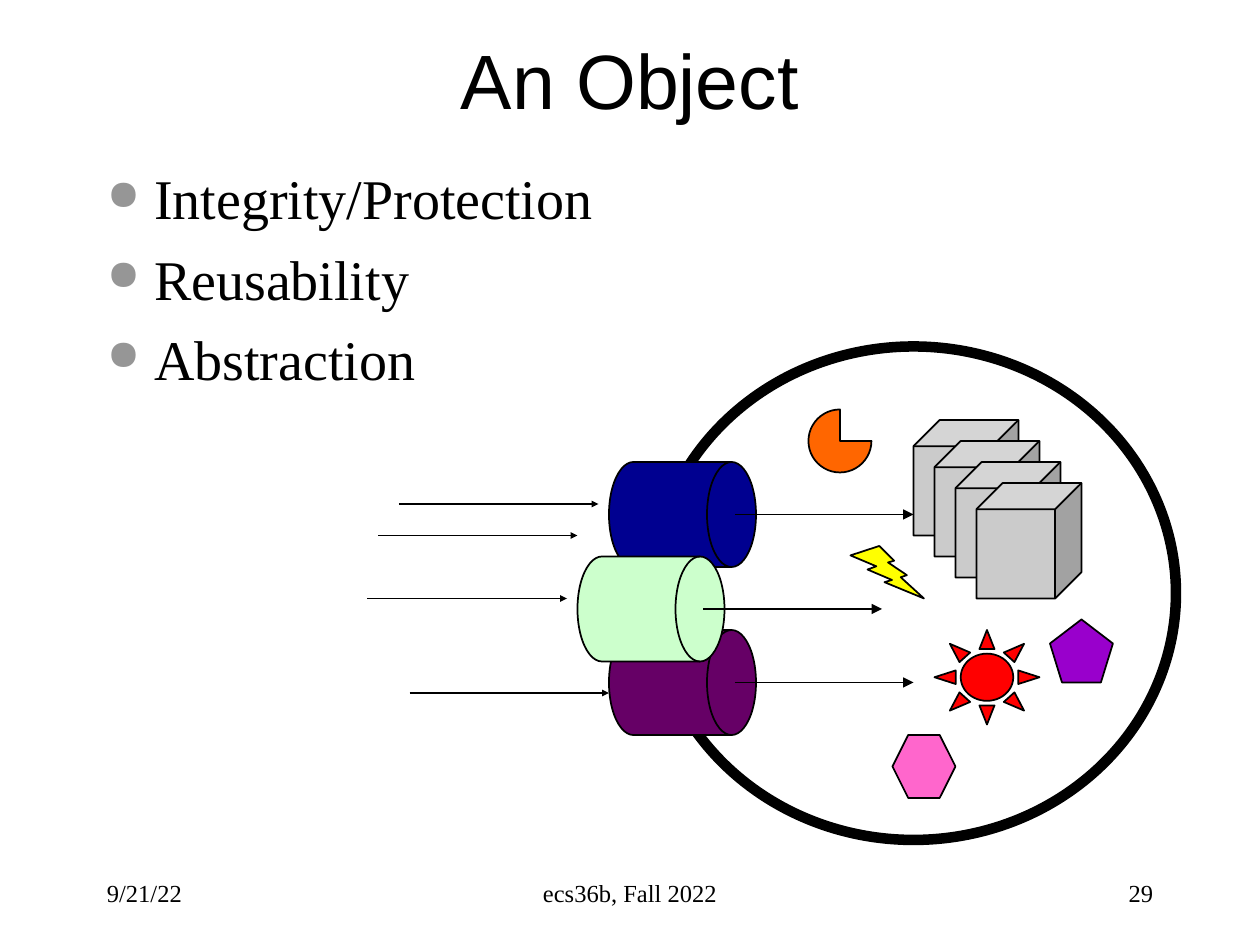
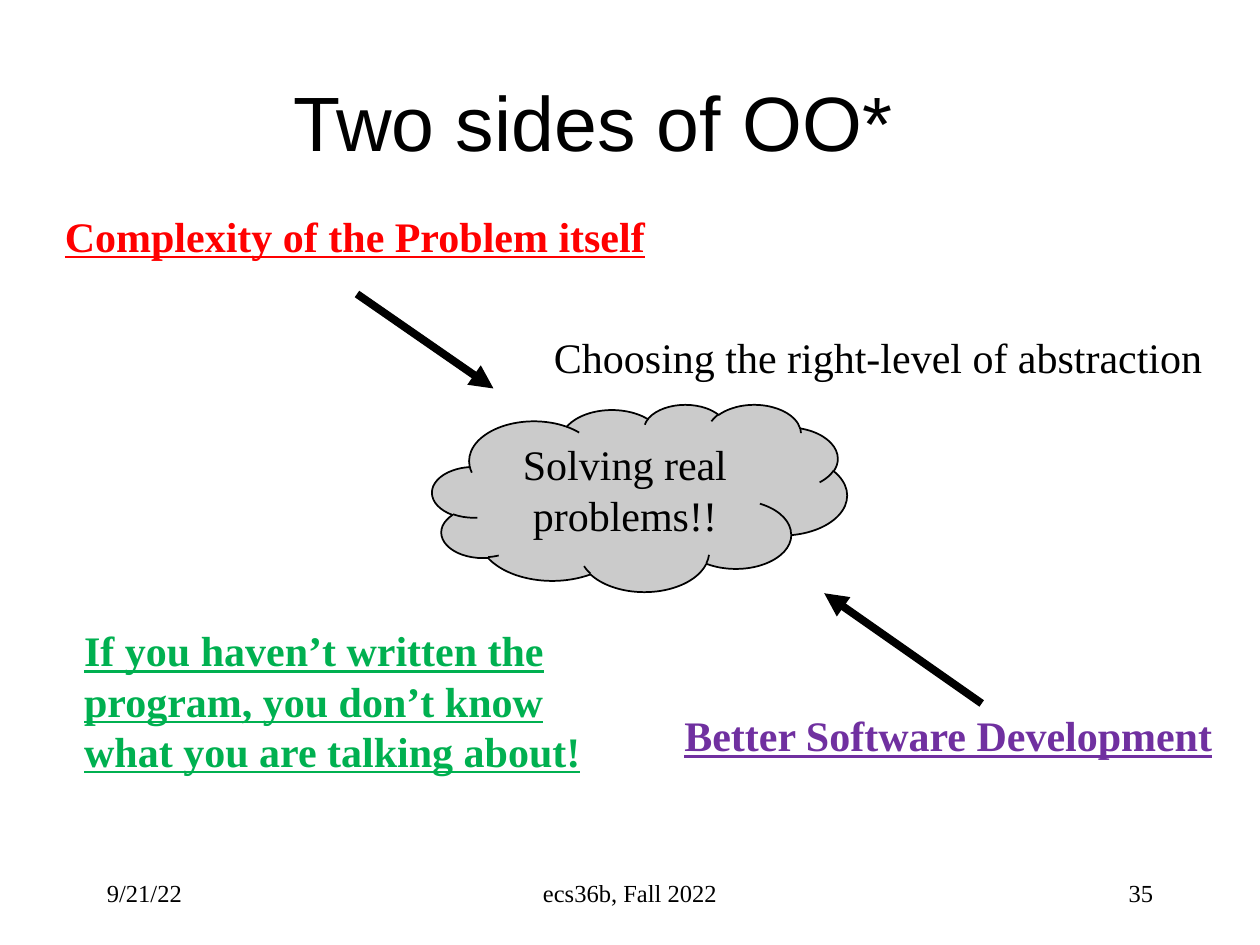
from lxml.etree import SubElement
from pptx import Presentation
from pptx.dml.color import RGBColor
from pptx.enum.shapes import MSO_CONNECTOR, MSO_SHAPE as Preset
from pptx.enum.text import MSO_ANCHOR as Anchor, MSO_AUTO_SIZE as AutoSize, PP_ALIGN as Align
from pptx.oxml.ns import qn
from pptx.util import Pt

TITLE_FONT = "Arial"
TEXT_FONT = "Times New Roman"

BLACK = RGBColor(0x00, 0x00, 0x00)
GREY = RGBColor(0xCB, 0xCB, 0xCB)
BULLET_GREY = RGBColor(0x96, 0x96, 0x96)
NAVY = RGBColor(0x00, 0x00, 0x90)
PLUM = RGBColor(0x66, 0x00, 0x66)
MINT = RGBColor(0xCC, 0xFF, 0xCC)
VIOLET = RGBColor(0x99, 0x00, 0xCC)
ORANGE = RGBColor(0xFF, 0x66, 0x00)
PINK = RGBColor(0xFF, 0x66, 0xCC)
RED = RGBColor(0xFF, 0x00, 0x00)
YELLOW = RGBColor(0xFF, 0xFF, 0x00)
GREEN = RGBColor(0x00, 0xB0, 0x50)
PURPLE = RGBColor(0x70, 0x30, 0xA0)


def add_bullet(para):
    properties = para._p.get_or_add_pPr()
    properties.set("marL", str(Pt(27)))
    properties.set("indent", str(Pt(-27)))
    colour = SubElement(properties, qn("a:buClr"))
    SubElement(colour, qn("a:srgbClr"), val=str(BULLET_GREY))
    SubElement(properties, qn("a:buSzPct"), val="75000")
    SubElement(properties, qn("a:buChar"), char="●")


def write_text(frame, text, size=24, font=TEXT_FONT, colour=BLACK, strong=False,
               align=Align.LEFT, anchor=Anchor.TOP, wrap=True, bullets=False, gap=0):
    """Fill a frame, one paragraph a line; strong means bold and underlined."""
    frame.word_wrap = wrap
    frame.vertical_anchor = anchor
    for index, line in enumerate(text.split("\n")):
        para = frame.paragraphs[0] if index == 0 else frame.add_paragraph()
        if bullets:
            add_bullet(para)
        para.alignment = align
        if index and gap:
            para.space_before = Pt(gap)
        span = para.add_run()
        span.text = line
        span.font.name = font
        span.font.size = Pt(size)
        span.font.color.rgb = colour
        span.font.bold = strong
        span.font.underline = strong


def add_text(page, left, top, width, height, text, **text_format):
    box = page.shapes.add_textbox(Pt(left), Pt(top), Pt(width), Pt(height))
    write_text(box.text_frame, text, **text_format)
    return box


def add_label(page, left, top, width, height, text, **text_format):
    """Add a text box that grows with its text."""
    box = add_text(page, left, top, width, height, text, **text_format)
    box.text_frame.auto_size = AutoSize.SHAPE_TO_FIT_TEXT


def add_figure(page, preset, left, top, width, height, fill=None, line_width=1):
    figure = page.shapes.add_shape(preset, Pt(left), Pt(top), Pt(width), Pt(height))
    figure.shadow.inherit = False
    if fill is None:
        figure.fill.background()
    else:
        figure.fill.solid()
        figure.fill.fore_color.rgb = fill
    figure.line.color.rgb = BLACK
    figure.line.width = Pt(line_width)
    return figure


def add_arrow(page, start, end, width=1, head="med"):
    arrow = page.shapes.add_connector(
        MSO_CONNECTOR.STRAIGHT, *(Pt(value) for value in (*start, *end)))
    arrow.line.color.rgb = BLACK
    arrow.line.width = Pt(width)
    SubElement(arrow.line._get_or_add_ln(), qn("a:tailEnd"), type="triangle", w=head, len=head)
    SubElement(arrow._element.spPr, qn("a:effectLst"))


def add_page(deck, title, left, top, width, number):
    """Add a slide with its title and the shared footer."""
    page = deck.slides.add_slide(deck.slide_layouts[5])
    heading = page.shapes.title
    heading.left, heading.top = Pt(left), Pt(top)
    heading.width, heading.height = Pt(width), Pt(90)
    write_text(heading.text_frame, title, size=44, font=TITLE_FONT,
               align=Align.CENTER, anchor=Anchor.MIDDLE)
    for footer_left, footer_width, text, align in (
        (54, 150, "9/21/22", Align.LEFT),
        (246, 228, "ecs36b, Fall 2022", Align.CENTER),
        (516, 150, str(number), Align.RIGHT),
    ):
        add_text(page, footer_left, 492, footer_width, 36, text,
                 size=14, align=align, anchor=Anchor.MIDDLE)
    return page


def build_object_page(deck):
    page = add_page(deck, "An Object", 54, 0, 612, 29)
    add_text(page, 54, 90, 612, 324, "Integrity/Protection\nReusability\nAbstraction",
             size=32, bullets=True, gap=7.5)

    add_figure(page, Preset.OVAL, 372, 198, 300, 282, line_width=6)
    for step in range(4):
        add_figure(page, Preset.CUBE, 522 + 12 * step, 240 + 12 * step, 60, 66, GREY)

    drums = ((348, 264, NAVY), (348, 360, PLUM), (330, 318, MINT))
    drum_width, drum_height = 84, 60
    for left, top, fill in drums:
        add_figure(page, Preset.FLOWCHART_DIRECT_ACCESS_STORAGE,
                   left, top, drum_width, drum_height, fill)
    for left, level in ((228, 288), (216, 306), (210, 342), (234, 396)):
        add_arrow(page, (left, level), (left + 114, level), head="sm")
    for left, top, _ in drums:
        start, level = left + drum_width - 12, top + drum_height / 2
        add_arrow(page, (start, level), (start + 102, level))

    for preset, left, top, width, height, fill in (
        (Preset.REGULAR_PENTAGON, 600, 354, 36, 36, VIOLET),
        (Preset.PIE, 462, 234, 36, 36, ORANGE),
        (Preset.HEXAGON, 510, 420, 36, 36, PINK),
        (Preset.SUN, 534, 360, 60, 54, RED),
        (Preset.LIGHTNING_BOLT, 486, 312, 42, 30, YELLOW),
    ):
        add_figure(page, preset, left, top, width, height, fill)


def build_two_sides_page(deck):
    page = add_page(deck, "Two sides of OO*", 90, 24, 498, 35)
    add_label(page, 384, 402, 319, 36.5, "Better Software Development",
              colour=PURPLE, strong=True, wrap=False)
    add_label(page, 30, 116.5, 349, 36.5, "Complexity of the Problem itself",
              colour=RED, strong=True, wrap=False)
    add_arrow(page, (204, 168), (282, 222), width=4.5)
    add_arrow(page, (561, 402), (471, 339), width=4.5)
    cloud = add_figure(page, Preset.CLOUD, 247, 231, 237, 107, GREY)
    write_text(cloud.text_frame, "Solving real problems!!", align=Align.CENTER)
    add_label(page, 309.5, 186, 388, 36.5, "Choosing the right-level of abstraction", wrap=False)
    add_label(page, 41, 353.5, 299.5, 94.5,
              "If you haven’t written the program, you don’t know what you are talking about!",
              colour=GREEN, strong=True)


def main():
    deck = Presentation()
    deck.slide_width, deck.slide_height = Pt(720), Pt(540)
    build_object_page(deck)
    build_two_sides_page(deck)
    deck.save("out.pptx")


if __name__ == "__main__":
    main()
